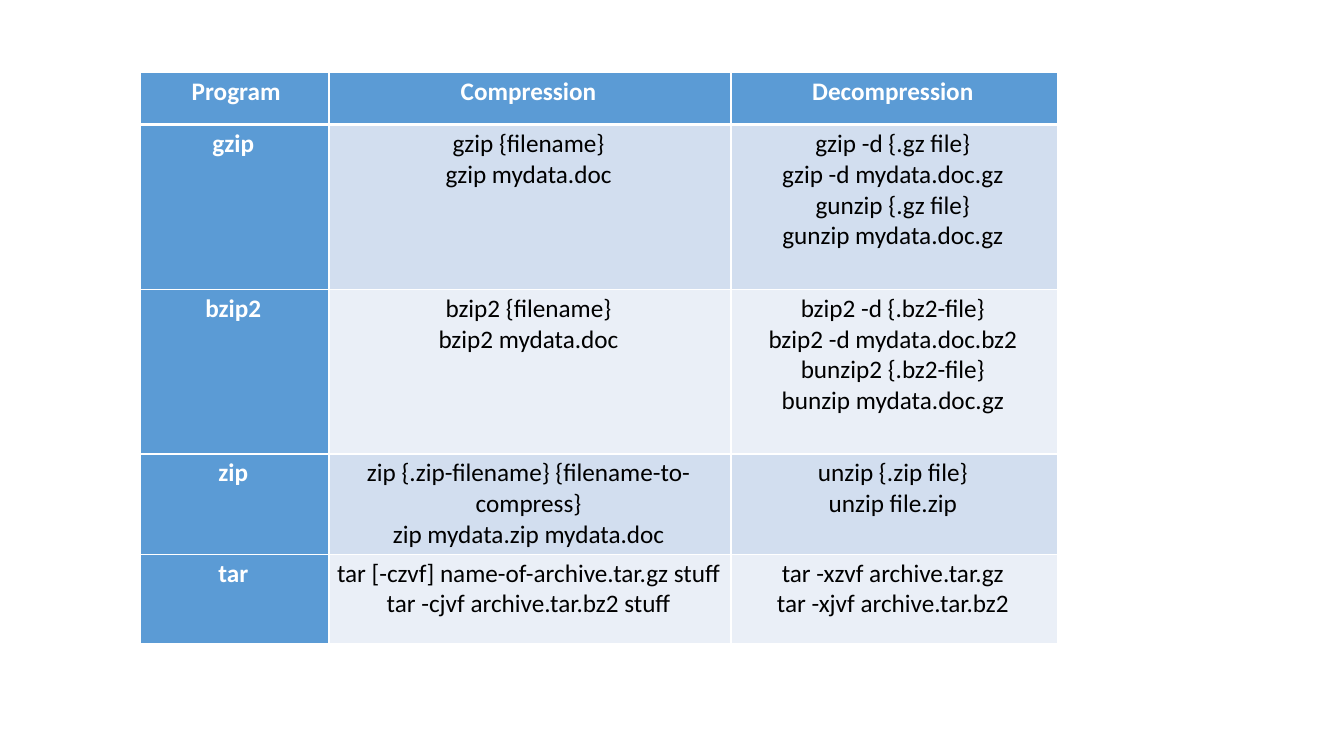
from dataclasses import dataclass

from lxml.etree import SubElement
from pptx import Presentation
from pptx.dml.color import RGBColor as RGB
from pptx.enum.text import PP_ALIGN as ALIGN
from pptx.oxml.ns import qn
from pptx.util import Cm, Pt


@dataclass(frozen=True)
class Theme:
    font: str = "Calibri"
    size: int = 18
    accent: str = "5B9BD5"
    bands: tuple = ("D2DEEF", "EAEFF7")
    light: str = "FFFFFF"
    dark: str = "000000"
    rule: int = 1
    header_rule: int = 3


THEME = Theme()
COL_WIDTHS = (4.75, 10.13, 8.23)
ROW_HEIGHTS = (1.31, 4.15, 4.15, 2.26, 2.26)
COMMANDS = (
    (" Program", "Compression", "Decompression"),
    (
        "gzip",
        "gzip {filename}\ngzip mydata.doc",
        "gzip -d {.gz file}\ngzip -d mydata.doc.gz\ngunzip {.gz file}\ngunzip mydata.doc.gz",
    ),
    (
        "bzip2",
        "bzip2 {filename}\nbzip2 mydata.doc",
        "bzip2 -d {.bz2-file}\nbzip2 -d mydata.doc.bz2\vbunzip2 {.bz2-file}\nbunzip mydata.doc.gz",
    ),
    (
        "zip",
        "zip {.zip-filename} {filename-to-compress}\nzip mydata.zip mydata.doc",
        "unzip {.zip file}\nunzip file.zip",
    ),
    (
        "tar",
        "tar [-czvf] name-of-archive.tar.gz stuff\ntar -cjvf archive.tar.bz2 stuff",
        "tar -xzvf archive.tar.gz\ntar -xjvf archive.tar.bz2",
    ),
)


def set_borders(cell, top, bottom):
    tc_pr = cell._tc.get_or_add_tcPr()
    widths = {"lnL": THEME.rule, "lnR": THEME.rule, "lnT": top, "lnB": bottom}
    for side, width in widths.items():
        ln = SubElement(tc_pr, qn(f"a:{side}"), w=str(Pt(width)))
        fill = SubElement(ln, qn("a:solidFill"))
        SubElement(fill, qn("a:srgbClr"), val=THEME.light)


def set_text(cell, text, color, bold):
    cell.margin_left = Cm(0.03)
    cell.margin_right = cell.margin_top = cell.margin_bottom = Cm(0.1)
    tf = cell.text_frame
    tf.text = text
    for p in tf.paragraphs:
        p.alignment = ALIGN.CENTER
        p.font.name = THEME.font
        p.font.size = Pt(THEME.size)
        p.font.bold = bold
        p.font.color.rgb = RGB.from_string(color)


def style_cell(cell, text, row, col):
    heading = row == 0 or col == 0
    set_borders(
        cell,
        THEME.header_rule if row == 1 else THEME.rule,
        THEME.header_rule if row == 0 else THEME.rule,
    )
    cell.fill.solid()
    fill = THEME.accent if heading else THEME.bands[(row - 1) % 2]
    cell.fill.fore_color.rgb = RGB.from_string(fill)
    set_text(cell, text, THEME.light if heading else THEME.dark, heading)


def add_command_table(s):
    frame = s.shapes.add_table(
        len(ROW_HEIGHTS), len(COL_WIDTHS), Cm(3.54), Cm(1.83),
        Cm(sum(COL_WIDTHS)), Cm(sum(ROW_HEIGHTS)),
    )
    table = frame.table
    table.horz_banding = False
    for column, width in zip(table.columns, COL_WIDTHS):
        column.width = Cm(width)
    for row, height in zip(table.rows, ROW_HEIGHTS):
        row.height = Cm(height)
    for row, texts in enumerate(COMMANDS):
        for col, text in enumerate(texts):
            style_cell(table.cell(row, col), text, row, col)


def main():
    prs = Presentation()
    prs.slide_width, prs.slide_height = Cm(33.87), Cm(19.05)
    s = prs.slides.add_slide(prs.slide_layouts[6])
    add_command_table(s)
    prs.save("out.pptx")


if __name__ == "__main__":
    main()
